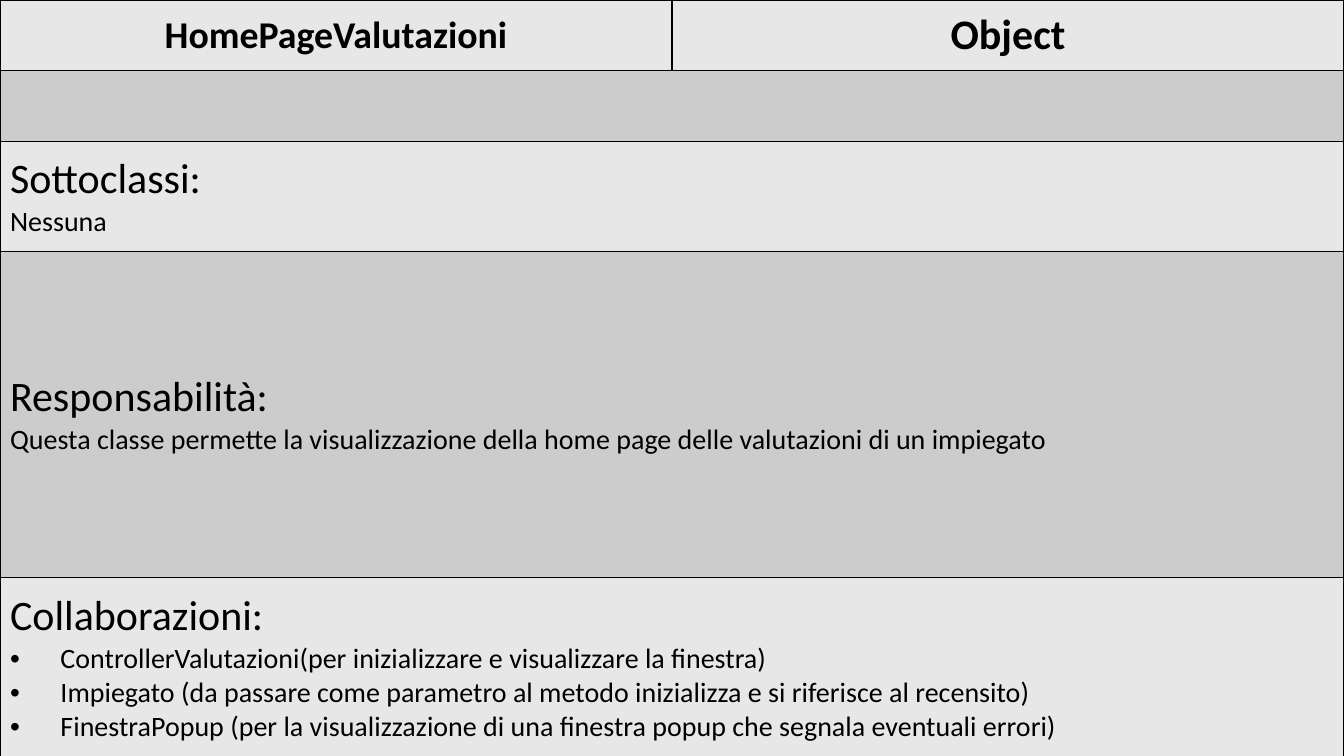
from lxml import etree
from pptx import Presentation
from pptx import util as u
from pptx.dml.color import RGBColor
from pptx.enum import text
from pptx.oxml import ns

BLACK = RGBColor(0x00, 0x00, 0x00)
LIGHT = RGBColor(0xE7, 0xE7, 0xE7)
DARK = RGBColor(0xCC, 0xCC, 0xCC)
FONT = "Calibri"
HEADING, BODY = 30, 20
SLIDE_WIDTH, SLIDE_HEIGHT = u.Cm(33.87), u.Cm(19.05)
ROW_HEIGHTS = [1.78, 1.78, 2.77, 8.23, 4.5]
BULLET_INDENT = u.Cm(1.27)
LEFT, JUSTIFY, CENTER = text.PP_ALIGN.LEFT, text.PP_ALIGN.JUSTIFY, text.PP_ALIGN.CENTER

SECTIONS = [
    (2, "Sottoclassi:", ["Nessuna"], LEFT, False),
    (3, "Responsabilità:", [
        "Questa classe permette la visualizzazione della home page delle valutazioni di un impiegato",
    ], JUSTIFY, False),
    (4, "Collaborazioni:", [
        "ControllerValutazioni(per inizializzare e visualizzare la finestra)",
        "Impiegato (da passare come parametro al metodo inizializza e si riferisce al recensito)",
        "FinestraPopup (per la visualizzazione di una finestra popup che segnala eventuali errori)",
    ], LEFT, True),
]


def add_bullet(paragraph):
    properties = paragraph._p.get_or_add_pPr()
    properties.set("marL", str(BULLET_INDENT))
    properties.set("indent", str(-BULLET_INDENT))
    etree.SubElement(properties, ns.qn("a:buFont"), typeface="Arial")
    etree.SubElement(properties, ns.qn("a:buChar"), char="•")


def write_paragraph(paragraph, words, size, alignment, bold=False, bullet=False):
    paragraph.alignment = alignment
    if bullet:
        add_bullet(paragraph)
    run = paragraph.add_run()
    run.text = words
    run.font.name = FONT
    run.font.size = u.Pt(size)
    run.font.bold = bold
    run.font.color.rgb = BLACK


def style_cell(cell, color, open_side=None):
    properties = cell._tc.get_or_add_tcPr()
    for side in "LRTB":
        line = etree.SubElement(properties, ns.qn(f"a:ln{side}"), w=str(u.Pt(1)))
        if side == open_side:
            etree.SubElement(line, ns.qn("a:noFill"))
        else:
            fill = etree.SubElement(line, ns.qn("a:solidFill"))
            etree.SubElement(fill, ns.qn("a:srgbClr"), val=str(BLACK))
    cell.fill.solid()
    cell.fill.fore_color.rgb = color
    cell.vertical_anchor = text.MSO_ANCHOR.MIDDLE


def add_class_table(slide):
    frame = slide.shapes.add_table(len(ROW_HEIGHTS), 2, 0, 0, SLIDE_WIDTH, SLIDE_HEIGHT)
    table = frame.table
    for row_index, height in enumerate(ROW_HEIGHTS):
        table.rows[row_index].height = u.Cm(height)
        color = DARK if row_index % 2 else LIGHT
        for column_index, inner_side in enumerate("RL"):
            open_side = inner_side if row_index == 1 else None
            style_cell(table.cell(row_index, column_index), color, open_side)
    return table


def write_header(table):
    for column, (words, size) in enumerate([("HomePageValutazioni", 27), ("Object", HEADING)]):
        paragraph = table.cell(0, column).text_frame.paragraphs[0]
        write_paragraph(paragraph, words, size, CENTER, bold=True)


def write_section(table, row, heading, lines, alignment, bullet):
    cell = table.cell(row, 0)
    cell.merge(table.cell(row, 1))
    frame = cell.text_frame
    write_paragraph(frame.paragraphs[0], heading, HEADING, alignment)
    for line in lines:
        write_paragraph(frame.add_paragraph(), line, BODY, alignment, bullet=bullet)


def main():
    presentation = Presentation()
    presentation.slide_width = SLIDE_WIDTH
    presentation.slide_height = SLIDE_HEIGHT
    slide = presentation.slides.add_slide(presentation.slide_layouts[6])
    table = add_class_table(slide)
    write_header(table)
    for section in SECTIONS:
        write_section(table, *section)
    presentation.save("out.pptx")


if __name__ == "__main__":
    main()
